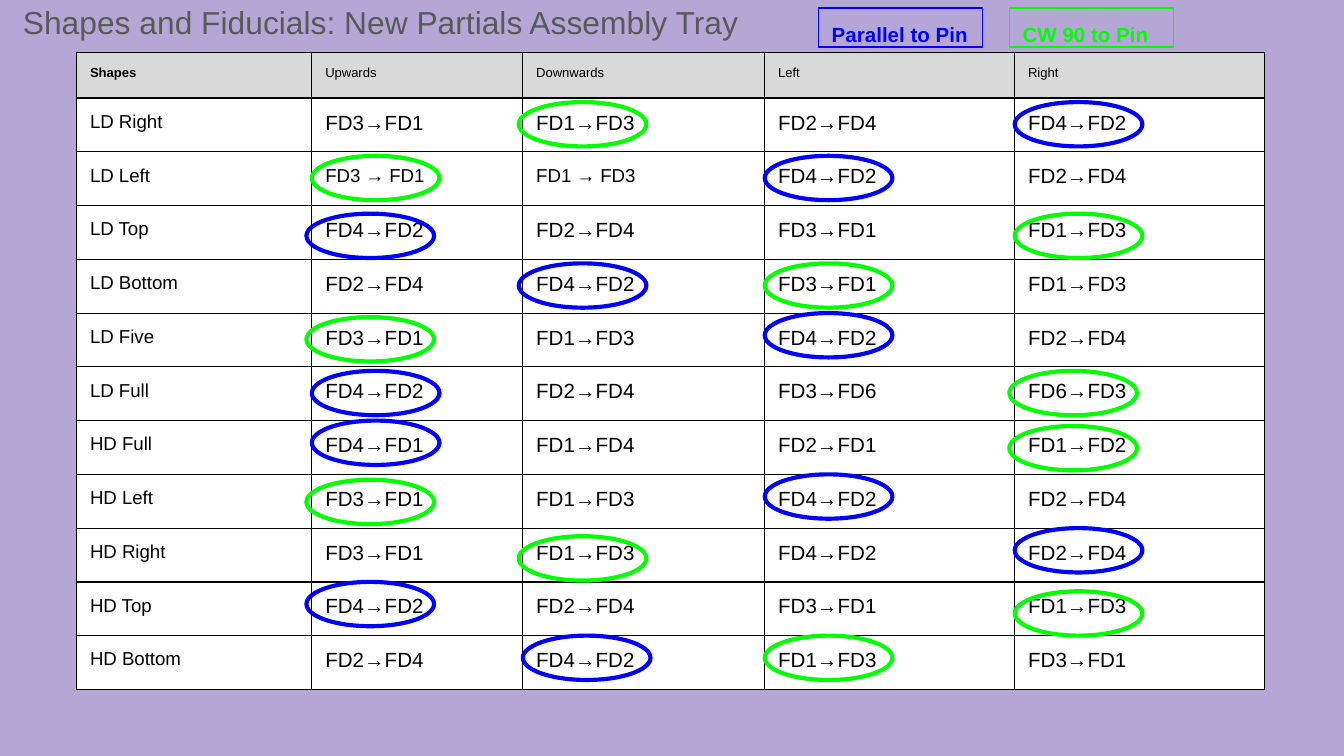
from lxml import etree
from pptx import Presentation
from pptx.dml.color import RGBColor
from pptx.enum.shapes import MSO_SHAPE
from pptx.enum.text import MSO_ANCHOR, MSO_AUTO_SIZE, PP_ALIGN
from pptx.oxml.ns import qn
from pptx.util import Inches, Pt

RECTANGLE, OVAL = MSO_SHAPE.RECTANGLE, MSO_SHAPE.OVAL
TOP, LEFT, NO_FIT = MSO_ANCHOR.TOP, PP_ALIGN.LEFT, MSO_AUTO_SIZE.NONE
BLUE, GREEN, BLACK = "0000FF", "00FF00", "000000"


def color(value):
    return RGBColor.from_string(value)


def write_text(frame, text, size, font_color, bold=False):
    frame.text = text
    frame.margin_left = frame.margin_right = Inches(0.1)
    frame.margin_top = frame.margin_bottom = Inches(0.1)
    frame.word_wrap = True
    paragraph = frame.paragraphs[0]
    paragraph.alignment = LEFT
    paragraph.font.name = "Arial"
    paragraph.font.size = Pt(size)
    paragraph.font.bold = bold
    paragraph.font.color.rgb = color(font_color)


presentation = Presentation()
presentation.slide_width = Inches(10)
presentation.slide_height = Inches(10 * 9 / 16)
slide = presentation.slides.add_slide(presentation.slide_layouts[5])
slide.background.fill.solid()
slide.background.fill.fore_color.rgb = color("B4A7D6")

title = slide.shapes.title
title.left, title.top = Inches(0.07), Inches(-0.08)
title.width, title.height = Inches(9.48), Inches(0.47)
write_text(title.text_frame, "Shapes and Fiducials: New Partials Assembly Tray", 17, "595959")
title.text_frame.vertical_anchor = TOP
title.text_frame.auto_size = NO_FIT

rows = [
    ("Shapes", "Upwards", "Downwards", "Left", "Right"),
    ("LD Right", "FD3→FD1", "FD1→FD3", "FD2→FD4", "FD4→FD2"),
    ("LD Left", "FD3 → FD1", "FD1 → FD3", "FD4→FD2", "FD2→FD4"),
    ("LD Top", "FD4→FD2", "FD2→FD4", "FD3→FD1", "FD1→FD3"),
    ("LD Bottom", "FD2→FD4", "FD4→FD2", "FD3→FD1", "FD1→FD3"),
    ("LD Five", "FD3→FD1", "FD1→FD3", "FD4→FD2", "FD2→FD4"),
    ("LD Full", "FD4→FD2", "FD2→FD4", "FD3→FD6", "FD6→FD3"),
    ("HD Full", "FD4→FD1", "FD1→FD4", "FD2→FD1", "FD1→FD2"),
    ("HD Left", "FD3→FD1", "FD1→FD3", "FD4→FD2", "FD2→FD4"),
    ("HD Right", "FD3→FD1", "FD1→FD3", "FD4→FD2", "FD2→FD4"),
    ("HD Top", "FD4→FD2", "FD2→FD4", "FD3→FD1", "FD1→FD3"),
    ("HD Bottom", "FD2→FD4", "FD4→FD2", "FD1→FD3", "FD3→FD1"),
]
column_widths = [1.75, 1.57, 1.8, 1.86, 1.86]
header_height, row_height = 0.34, 0.4
table = slide.shapes.add_table(
    len(rows), len(column_widths), Inches(0.57), Inches(0.39),
    Inches(sum(column_widths)), Inches(header_height + row_height * (len(rows) - 1)),
).table
for column, width in zip(table.columns, column_widths):
    column.width = Inches(width)

for row_index, row in enumerate(rows):
    is_header = row_index == 0
    table.rows[row_index].height = Inches(header_height if is_header else row_height)
    for column_index, text in enumerate(row):
        cell = table.cell(row_index, column_index)
        if is_header:
            size = 7
        elif column_index == 0 or " → " in text:
            size = 10
        else:
            size = 11
        write_text(cell.text_frame, text, size, BLACK, is_header and column_index == 0)
        cell.margin_left = cell.margin_right = Inches(0.1)
        cell.margin_top = cell.margin_bottom = Inches(0.1)
        properties = cell._tc.get_or_add_tcPr()
        for side in ("a:lnL", "a:lnR", "a:lnT", "a:lnB"):
            border = etree.SubElement(properties, qn(side), w=str(Pt(0.75)))
            border_fill = etree.SubElement(border, qn("a:solidFill"))
            etree.SubElement(border_fill, qn("a:srgbClr"), val=BLACK)
        cell.fill.solid()
        cell.fill.fore_color.rgb = color("D9D9D9" if is_header else "FFFFFF")

legend = [
    ("Parallel to Pin", BLUE, 6.09, [
        (7.55, 0.76), (5.69, 1.16), (2.28, 1.59), (3.86, 1.96), (5.69, 2.33), (2.32, 2.76),
        (2.32, 3.13), (5.69, 3.53), (7.55, 3.93), (2.28, 4.33), (3.89, 4.73)]),
    ("CW 90 to Pin", GREEN, 7.51, [
        (3.86, 0.76), (2.32, 1.16), (7.55, 1.59), (5.69, 1.96), (2.28, 2.36), (7.51, 2.76),
        (7.51, 3.17), (2.28, 3.57), (3.86, 3.99), (7.55, 4.4), (5.69, 4.73)]),
]
for label, mark_color, label_left, ring_positions in legend:
    label_box = slide.shapes.add_shape(
        RECTANGLE, Inches(label_left), Inches(0.06), Inches(1.22), Inches(0.29))
    write_text(label_box.text_frame, label, 11, mark_color, True)
    label_box.text_frame.vertical_anchor = TOP
    label_box.line.width = Pt(0.75)
    marks = [label_box]
    for left, top in ring_positions:
        ring = slide.shapes.add_shape(
            OVAL, Inches(left), Inches(top), Inches(0.95), Inches(0.33))
        ring.line.width = Pt(2.25)
        marks.append(ring)
    for mark in marks:
        mark.shadow.inherit = False
        mark.fill.background()
        mark.line.color.rgb = color(mark_color)

presentation.save("out.pptx")
